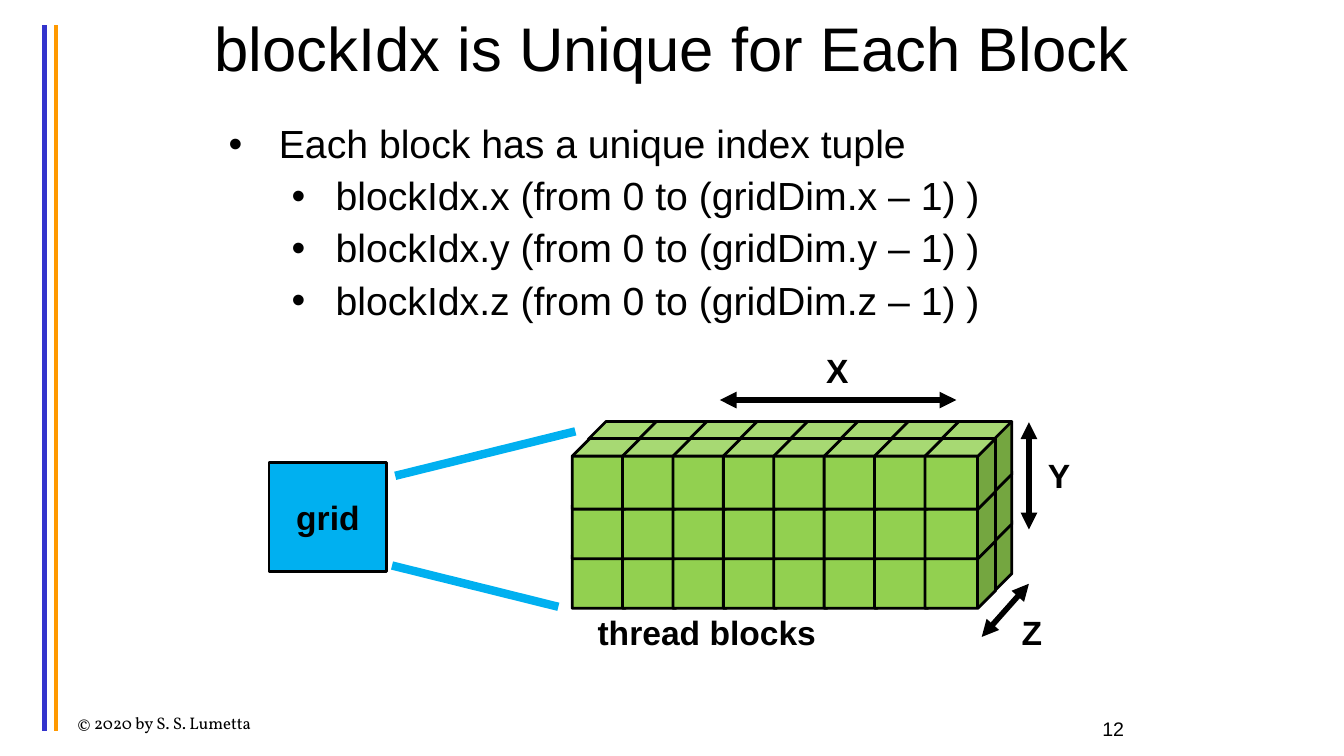
from lxml.etree import SubElement
from pptx import Presentation
from pptx.dml.color import RGBColor
from pptx.enum.shapes import MSO_CONNECTOR, MSO_SHAPE
from pptx.enum.text import MSO_ANCHOR, PP_ALIGN
from pptx.oxml.ns import qn
from pptx.util import Cm, Pt

BLACK, BLUE, GREEN = "000000", "00B0F0", "92D050"


def color(code):
    return RGBColor.from_string(code)


def write(frame, text, size=24, font="Arial", bold=False, first=True,
          align=PP_ALIGN.LEFT, anchor=MSO_ANCHOR.TOP, wrap=True):
    """Put one paragraph in a frame and return it."""
    frame.word_wrap = wrap
    frame.vertical_anchor = anchor
    para = frame.paragraphs[0] if first else frame.add_paragraph()
    para.alignment = align
    run = para.add_run()
    run.text = text
    run.font.size = Pt(size)
    run.font.name = font
    run.font.bold = bold
    run.font.color.rgb = color(BLACK)
    return para


def label(shapes, text, left, top, width, height, **style):
    box = shapes.add_textbox(Cm(left), Cm(top), Cm(width), Cm(height))
    write(box.text_frame, text, **style)


def solid(shapes, kind, left, top, width, height, fill):
    shape = shapes.add_shape(kind, Cm(left), Cm(top), Cm(width), Cm(height))
    shape.shadow.inherit = False
    shape.fill.solid()
    shape.fill.fore_color.rgb = color(fill)
    shape.line.color.rgb = color(BLACK)
    shape.line.width = Pt(2)
    return shape


def rule(shapes, start, end, tint, width, arrows=False):
    line = shapes.add_connector(MSO_CONNECTOR.STRAIGHT,
                                *map(Cm, start + end))
    line.line.color.rgb = color(tint)
    line.line.width = Pt(width)
    if arrows:
        stroke = line.line._get_or_add_ln()
        for tag in ("a:headEnd", "a:tailEnd"):
            SubElement(stroke, qn(tag), type="triangle")
    SubElement(line._element.spPr, qn("a:effectLst"))


def bullets(shapes, items):
    box = shapes.add_textbox(Cm(5.51), Cm(3.02), Cm(23.7), Cm(14.76))
    for num, (level, text) in enumerate(items):
        para = write(box.text_frame, text, size=28, first=num == 0)
        para.level = level
        para.line_spacing = 0.9
        if num:
            para.space_before = Pt(7)
        margin, hang = ((1.27, 1.27), (2.7, 1.11))[level]
        props = para._p.get_or_add_pPr()
        props.set("marL", str(Cm(margin)))
        props.set("indent", str(-Cm(hang)))
        SubElement(props, qn("a:buFont"), typeface="Arial")
        SubElement(props, qn("a:buChar"), char="•")


def blocks(shapes, cols=8, rows=3):
    """Stack the cubes: back layer first, each from the bottom up."""
    group = shapes.add_group_shape().shapes
    for left, top in ((14.83, 10.62), (14.42, 11.05)):
        for row in reversed(range(rows)):
            for col in range(cols):
                solid(group, MSO_SHAPE.CUBE, left + 1.27 * col,
                      top + 1.25 * row, 1.78, 1.78, GREEN)


def main():
    deck = Presentation()
    deck.slide_width, deck.slide_height = Cm(33.87), Cm(19.05)
    shapes = deck.slides.add_slide(deck.slide_layouts[6]).shapes

    # Side rules and footer
    for x, tint in ((1.12, "3333CC"), (1.42, "FF9900")):
        rule(shapes, (x, 0.64), (x, 18.42), tint, 3)
    label(shapes, "© 2020 by S. S. Lumetta", 1.7, 17.83, 15.52, 0.8,
          size=12, font="Vollkorn")
    label(shapes, "12", 22.66, 17.93, 5.92, 1.1, size=14,
          align=PP_ALIGN.RIGHT)

    # Title and bullets
    label(shapes, "blockIdx is Unique for Each Block", 1.7, 0, 30.48, 2.36,
          size=44, align=PP_ALIGN.CENTER, anchor=MSO_ANCHOR.MIDDLE)
    bullets(shapes, [(0, "Each block has a unique index tuple")] + [
        (1, f"blockIdx.{axis} (from 0 to (gridDim.{axis} – 1) )")
        for axis in "xyz"])

    # Grid opening into its thread blocks
    grid = solid(shapes, MSO_SHAPE.RECTANGLE, 6.78, 11.66, 2.97, 2.74, BLUE)
    write(grid.text_frame, "grid", bold=True, align=PP_ALIGN.CENTER,
          anchor=MSO_ANCHOR.MIDDLE)
    blocks(shapes)
    rule(shapes, (9.96, 11.99), (14.5, 10.87), BLUE, 6)
    rule(shapes, (9.88, 14.25), (14.07, 15.29), BLUE, 6)
    label(shapes, "thread blocks", 14.81, 15.29, 6.07, 1.27, bold=True,
          wrap=False)

    # Axes
    for name, start, end, left, top in (
            ("X", (18.14, 10.08), (24.1, 10.08), 20.57, 8.69),
            ("Y", (25.93, 10.64), (25.93, 13.34), 26.16, 11.35),
            ("Z", (25.93, 14.71), (24.74, 16.05), 25.5, 15.29)):
        rule(shapes, start, end, BLACK, 4, arrows=True)
        label(shapes, name, left, top, 1.09, 1.27, bold=True, wrap=False)

    deck.save("out.pptx")


if __name__ == "__main__":
    main()
